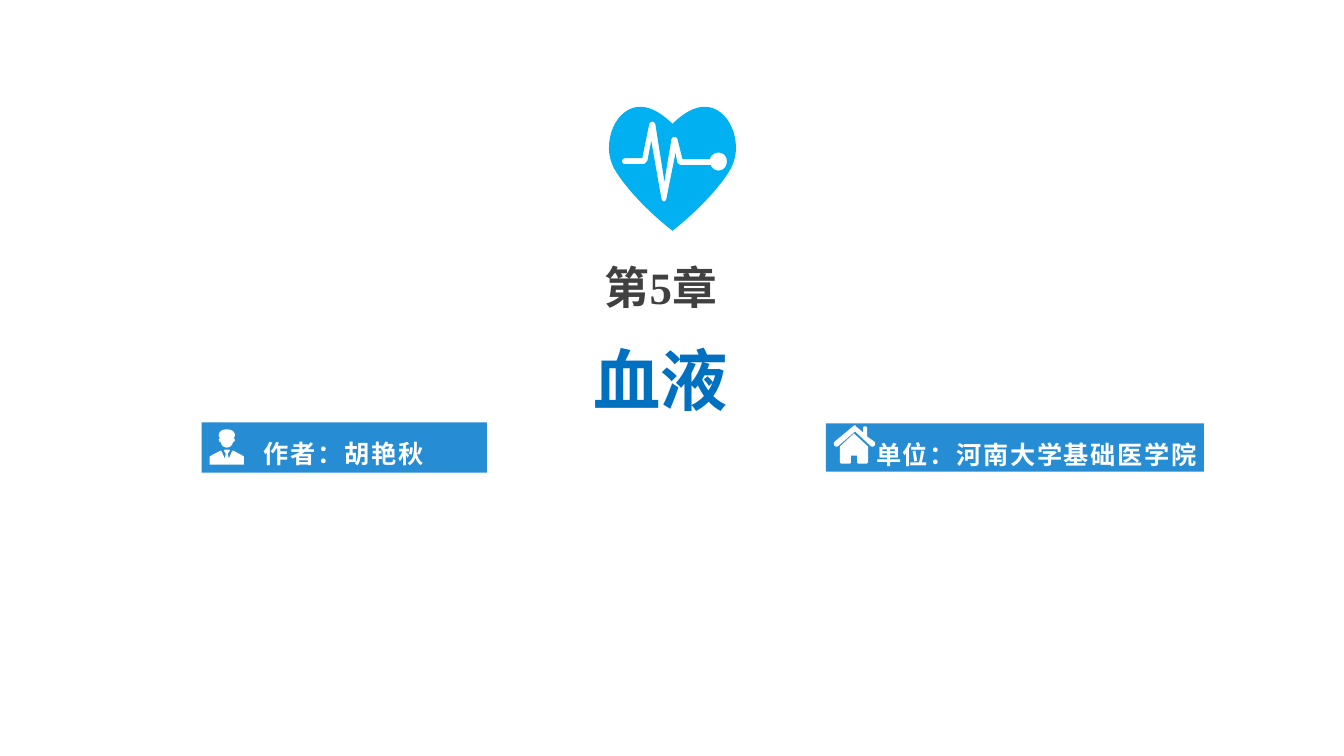
from pptx import Presentation
from pptx import util as u
from pptx.dml.color import RGBColor
from pptx.enum import shapes, text

HUES = {"sky": "00B0F0", "bar": "268CD4", "white": "FFFFFF", "gray": "404040", "blue": "0070C0"}


def trace(*steps):
    points = []
    for step in steps:
        if len(step) == 2:
            points.append(step)
            continue
        ax, ay = points[-1]
        bx, by, cx, cy, dx, dy = step
        for i in range(1, 13):
            t = i / 12
            s = 1 - t
            weights = s ** 3, 3 * s * s * t, 3 * s * t * t, t ** 3
            points.append(tuple(sum(w * v for w, v in zip(weights, values))
                                for values in ((ax, bx, cx, dx), (ay, by, cy, dy))))
    return points


def mirror(points):
    axis = points[0][0]
    return points + [(2 * axis - x, y) for x, y in reversed(points)]


class Deck:
    font = "Times New Roman"

    def __init__(self):
        self.show = Presentation()
        self.show.slide_width = u.Inches(13.33)
        self.show.slide_height = u.Inches(7.5)
        self.slide = self.show.slides.add_slide(self.show.slide_layouts[6])

    def paint(self, shape, hue):
        shape.shadow.inherit = False
        shape.fill.solid()
        shape.fill.fore_color.rgb = RGBColor.from_string(HUES[hue])
        shape.line.fill.background()

    def bar(self, *box):
        shape = self.slide.shapes.add_shape(shapes.MSO_SHAPE.RECTANGLE, *map(u.Inches, box))
        self.paint(shape, "bar")

    def icon(self, hue, *outlines):
        pen = None
        for outline in outlines:
            first, *rest = [(u.Inches(x), u.Inches(y)) for x, y in outline]
            if pen is None:
                pen = self.slide.shapes.build_freeform(*first)
            else:
                pen.move_to(*first)
            pen.add_line_segments(rest, close=True)
        self.paint(pen.convert_to_shape(), hue)

    def words(self, box, lines, space, align=None, track=0):
        frame = self.slide.shapes.add_textbox(*map(u.Inches, box)).text_frame
        frame.word_wrap = True
        frame.auto_size = text.MSO_AUTO_SIZE.SHAPE_TO_FIT_TEXT
        for i, (words, size, hue, inset) in enumerate(lines):
            para = frame.add_paragraph() if i else frame.paragraphs[0]
            para.alignment = align
            para.line_spacing = space
            if inset:
                para._p.get_or_add_pPr().set("marR", str(u.Inches(inset)))
            run = para.add_run()
            run.text = words
            run.font.name = self.font
            run.font.size = u.Pt(size)
            run.font.bold = True
            run.font.color.rgb = RGBColor.from_string(HUES[hue])
            if track:
                run.font._element.set("spc", str(track))

    def label(self, box, words):
        self.words(box, [(words, 18, "white", 0)], 1.5, track=120)


def main():
    deck = Deck()
    heart = mirror(trace(
        (6.67, 1.23), (6.56, 1.12, 6.45, 1.06, 6.35, 1.06),
        (6.18, 1.06, 6.04, 1.24, 6.04, 1.47), (6.04, 1.54, 6.06, 1.61, 6.09, 1.67),
        (6.18, 1.83, 6.39, 2.07, 6.67, 2.29)))
    pulse = trace(
        (7.05, 1.64), (6.75, 1.64), (6.72, 1.62), (6.7, 1.52), (6.61, 1.97),
        (6.6, 2.01, 6.57, 2.01, 6.56, 1.97), (6.46, 1.4), (6.42, 1.6), (6.39, 1.63),
        (6.2, 1.63), (6.16, 1.63, 6.16, 1.57, 6.2, 1.57), (6.37, 1.57), (6.44, 1.23),
        (6.45, 1.2, 6.49, 1.2, 6.5, 1.23), (6.59, 1.8), (6.66, 1.38),
        (6.67, 1.35, 6.71, 1.35, 6.72, 1.38), (6.77, 1.58), (7.04, 1.58),
        (7.06, 1.49, 7.21, 1.49, 7.21, 1.6), (7.21, 1.71, 7.08, 1.72, 7.05, 1.64))
    deck.icon("sky", heart, pulse)

    deck.bar(8.19, 4.2, 3.75, 0.48)
    walls = mirror(trace(
        (8.47, 4.3), (8.33, 4.43), (8.33, 4.58), (8.33, 4.59, 8.34, 4.6, 8.35, 4.6),
        (8.43, 4.6), (8.44, 4.59), (8.44, 4.52), (8.47, 4.52)))
    roof = trace(
        (8.47, 4.22), (8.48, 4.22, 8.49, 4.22, 8.49, 4.23), (8.56, 4.29), (8.56, 4.24),
        (8.57, 4.23), (8.59, 4.23), (8.6, 4.24), (8.6, 4.33), (8.67, 4.38),
        (8.7, 4.41, 8.66, 4.45, 8.63, 4.42), (8.48, 4.28), (8.32, 4.42),
        (8.29, 4.45, 8.25, 4.41, 8.28, 4.38), (8.46, 4.23))
    deck.icon("white", walls, roof)

    deck.bar(2, 4.19, 2.83, 0.5)
    deck.label((2.52, 4.15, 2.23, 0.5), "作者：胡艳秋")
    deck.label((8.59, 4.16, 3.48, 0.5), "单位：河南大学基础医学院")
    suit = mirror(trace(
        (2.25, 4.46), (2.23, 4.46), (2.22, 4.47), (2.24, 4.5), (2.23, 4.55),
        (2.2, 4.48), (2.19, 4.47), (2.11, 4.51), (2.08, 4.53), (2.08, 4.61), (2.25, 4.61)))
    head = mirror(trace(
        (2.25, 4.26), (2.18, 4.26, 2.17, 4.3, 2.17, 4.32), (2.18, 4.35), (2.17, 4.36),
        (2.17, 4.39, 2.19, 4.38, 2.19, 4.39), (2.2, 4.43, 2.23, 4.44, 2.25, 4.44)))
    deck.icon("white", suit, head)

    title = [("第5章", 32, "gray", 0.22), ("血液", 48, "blue", 0)]
    deck.words((0, 2.37, 13.33, 1.74), title, 1.3, text.PP_ALIGN.CENTER)
    deck.show.save("out.pptx")


if __name__ == "__main__":
    main()
